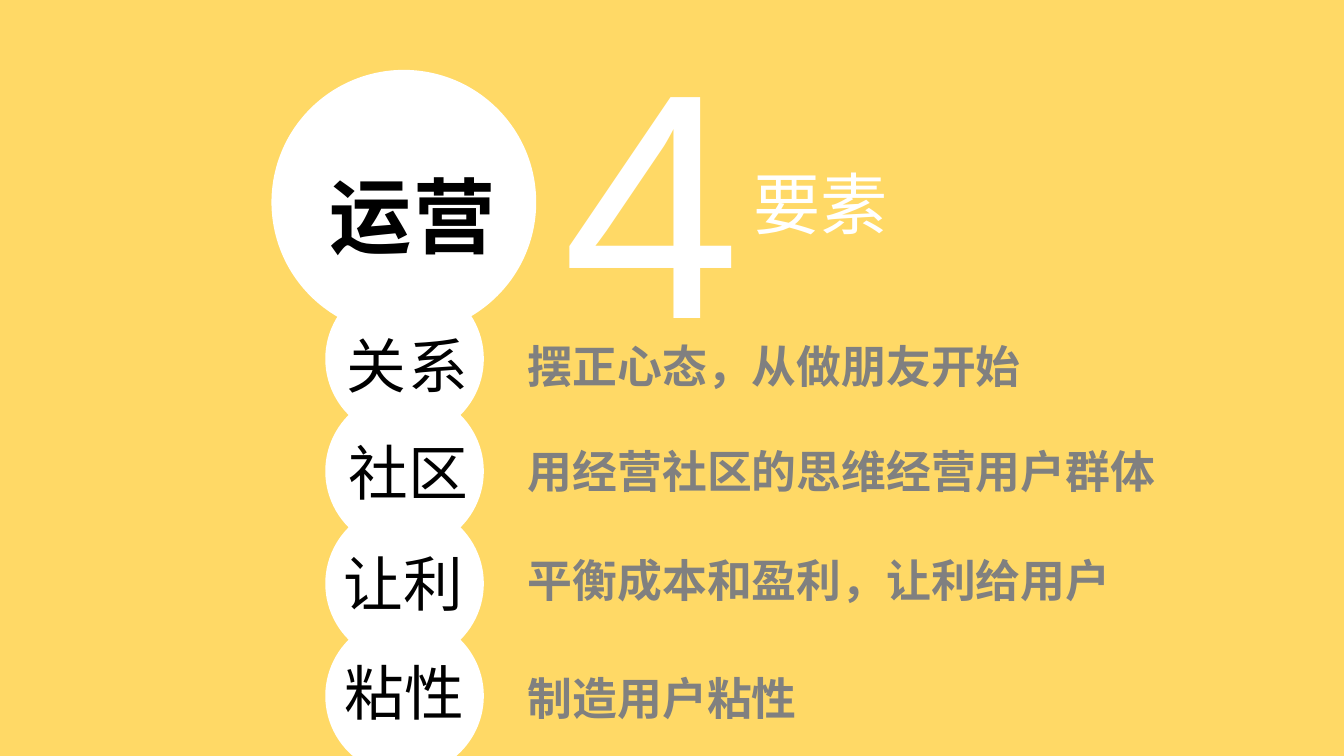
import pptx
import pptx.dml.color
import pptx.enum.shapes
import pptx.enum.text
import pptx.oxml.ns
import pptx.util
from lxml import etree

YELLOW = pptx.dml.color.RGBColor(0xFF, 0xD9, 0x66)
WHITE = pptx.dml.color.RGBColor(0xFF, 0xFF, 0xFF)
BLACK = pptx.dml.color.RGBColor(0x00, 0x00, 0x00)
GRAY = pptx.dml.color.RGBColor(0x80, 0x80, 0x80)

LATIN_FONT = "Arial"
CHINESE_FONT = "Noto Sans CJK SC"
WIDTH = 10
HEIGHT = WIDTH * 9 / 16

BEAD_LEFT, BEAD_TOP, BEAD_SIZE, BEAD_STEP = 2.42, 2.08, 1.18, 0.836
ADVICE_LEFT, ADVICE_HEIGHT = 3.83, 0.5

ELEMENTS = [
    ("关系", (2.47, 2.4, 1.13, 0.64), 1.2, "摆正心态，从做朋友开始", 2.47, 5.96),
    ("社区", (2.49, 3.19, 1.1, 0.64), 0, "用经营社区的思维经营用户群体", 3.25, 5.46),
    ("让利", (2.45, 4.02, 1.1, 0.64), 0, "平衡成本和盈利，让利给用户", 4.06, 5.46),
    ("粘性", (2.46, 4.83, 1.1, 0.64), 0, "制造用户粘性", 4.94, 5.46),
]


def inches(lengths):
    return [pptx.util.Inches(length) for length in lengths]


def add_circle(slide, left, top, size):
    circle = slide.shapes.add_shape(
        pptx.enum.shapes.MSO_SHAPE.FLOWCHART_CONNECTOR,
        *inches((left, top, size, size)))
    circle.shadow.inherit = False
    circle.fill.solid()
    circle.fill.fore_color.rgb = WHITE
    circle.line.fill.background()


def add_text(slide, text, place, *, size, color, font=LATIN_FONT, bold=False,
             spacing=0, wrap=False, align=pptx.enum.text.PP_ALIGN.CENTER):
    frame = slide.shapes.add_textbox(*inches(place)).text_frame
    frame.word_wrap = wrap
    frame.auto_size = pptx.enum.text.MSO_AUTO_SIZE.SHAPE_TO_FIT_TEXT
    paragraph = frame.paragraphs[0]
    paragraph.alignment = align
    run = paragraph.add_run()
    run.text = text
    run.font.size = pptx.util.Pt(size)
    run.font.bold = bold
    run.font.color.rgb = color
    run.font.name = font
    properties = run.font._element
    east_asian = etree.SubElement(properties, pptx.oxml.ns.qn("a:ea"))
    east_asian.set("typeface", CHINESE_FONT)
    if spacing:
        properties.set("spc", str(round(spacing * 100)))


def add_heading(slide):
    add_text(slide, "4", (4.09, -0.07, 1.47, 3), size=172, color=WHITE,
             spacing=1.2)
    add_text(slide, "要素", (5.5, 1.16, 1.21, 0.71), size=36, color=WHITE)
    add_circle(slide, 2.02, 0.52, 1.97)
    add_text(slide, "运营", (2.32, 1.18, 1.5, 0.84), size=44, color=BLACK,
             font=CHINESE_FONT, bold=True, spacing=1.2)


def add_elements(slide):
    for row in range(len(ELEMENTS)):
        add_circle(slide, BEAD_LEFT, BEAD_TOP + row * BEAD_STEP, BEAD_SIZE)
    for label, place, spacing, advice, advice_top, advice_width in ELEMENTS:
        add_text(slide, label, place, size=32, color=BLACK, spacing=spacing)
        add_text(slide, advice,
                 (ADVICE_LEFT, advice_top, advice_width, ADVICE_HEIGHT),
                 size=24, color=GRAY, font=CHINESE_FONT, bold=True, wrap=True,
                 align=pptx.enum.text.PP_ALIGN.LEFT)


def main():
    """Build the slide on the four elements of running a community."""
    deck = pptx.Presentation()
    deck.slide_width, deck.slide_height = inches((WIDTH, HEIGHT))
    slide = deck.slides.add_slide(deck.slide_layouts[6])
    slide.background.fill.solid()
    slide.background.fill.fore_color.rgb = YELLOW
    add_heading(slide)
    add_elements(slide)
    deck.save("out.pptx")


if __name__ == "__main__":
    main()
